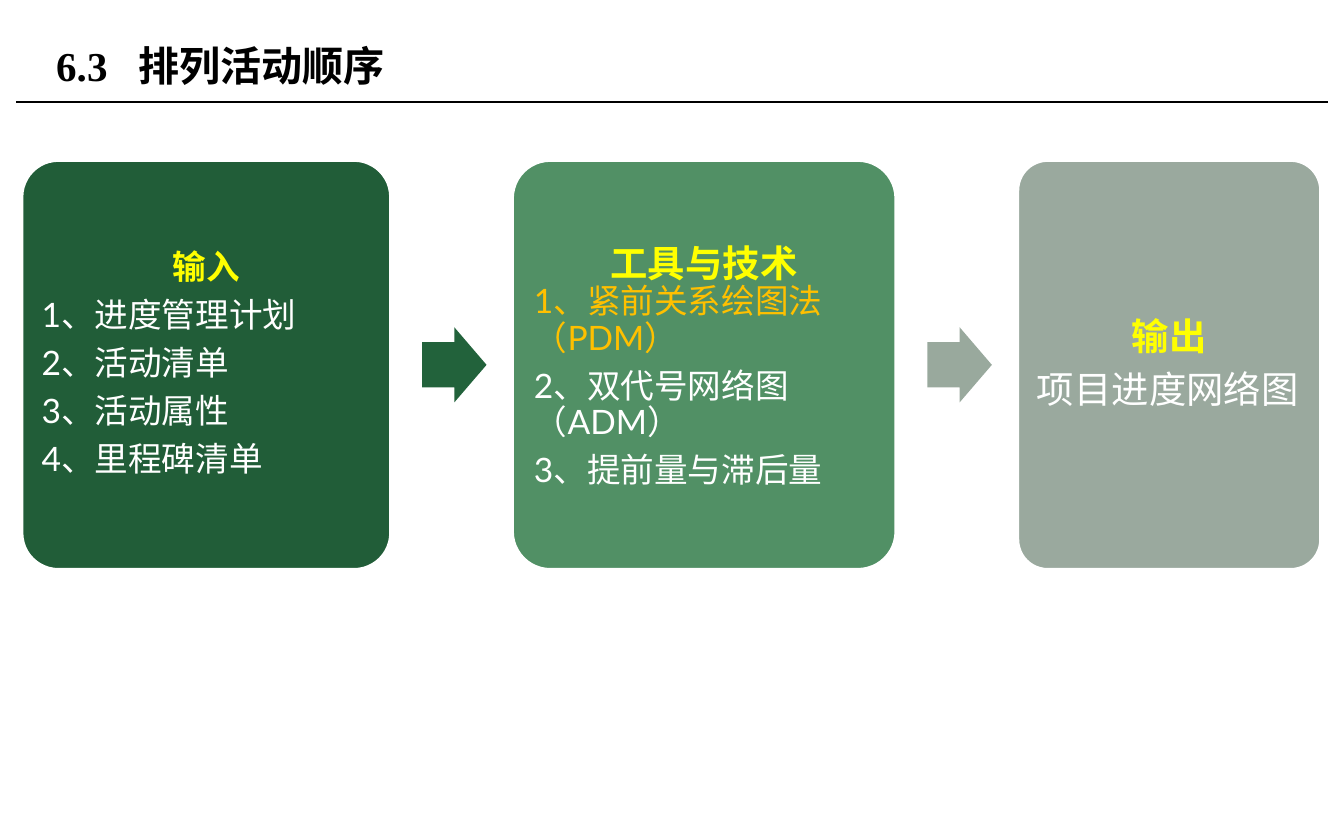
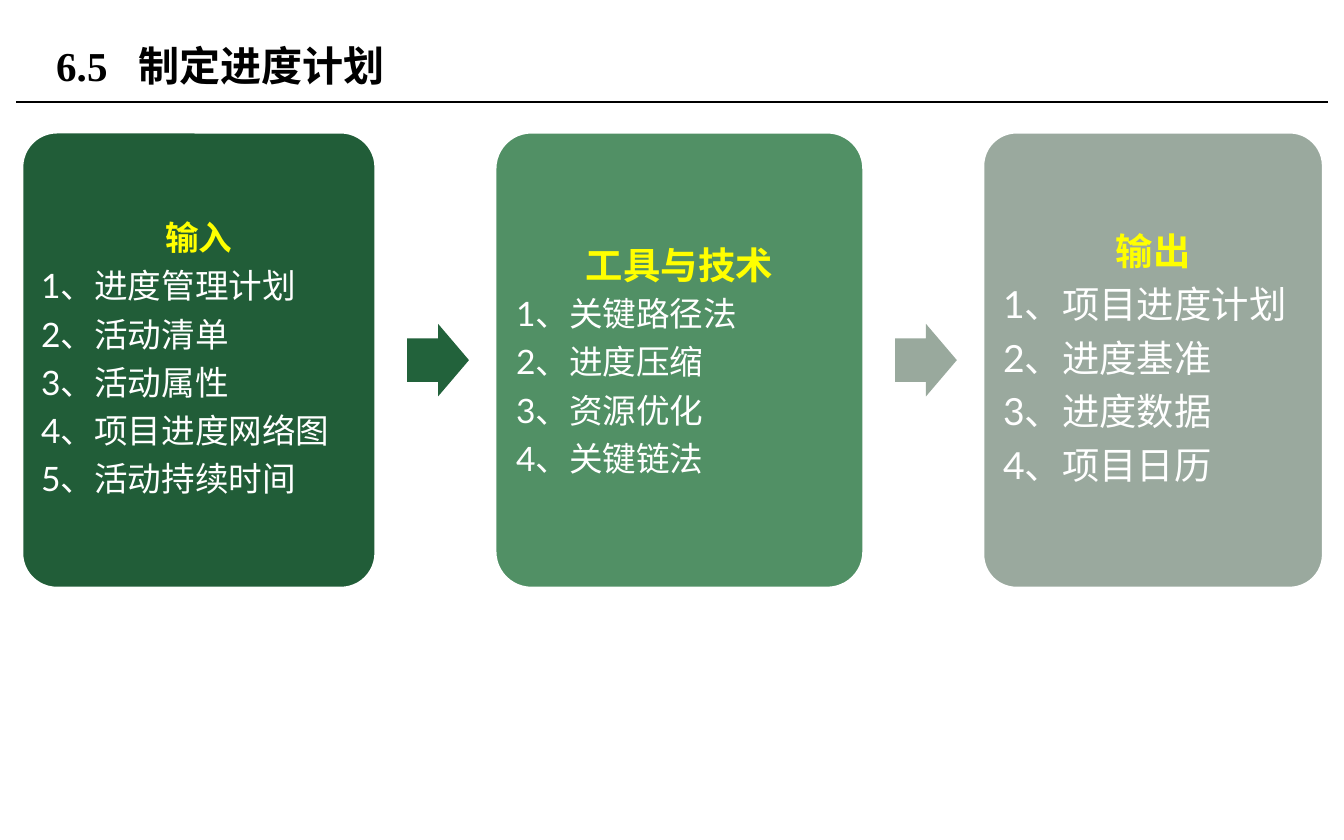
from dataclasses import dataclass

from lxml import etree
from pptx import Presentation
from pptx import util as u
from pptx.dml.color import RGBColor
from pptx.enum import lang, shapes, text
from pptx.oxml import ns

Inches, Pt = u.Inches, u.Pt


@dataclass(frozen=True)
class Theme:
    ink: str = "000000"
    white: str = "FFFFFF"
    heading: str = "FFFF00"
    highlight: str = "FFC000"
    title_font: str = "Times New Roman"
    card_font: str = "Lato"
    title_size: int = 22
    line_spacing: float = 0.9
    space_after: float = 0.35  # share of the type size
    left: float = 0.16
    gap_before_arrow: float = 0.23
    gap_after_arrow: float = 0.19


@dataclass(frozen=True)
class Stage:
    heading: str
    fill: str
    heading_size: int
    item_size: int
    inset: float


@dataclass(frozen=True)
class Process:
    number: str
    name: str
    top: float
    height: float
    widths: tuple
    arrow: tuple
    items: tuple
    tools_heading_after: int
    key_items: tuple = ()


THEME = Theme()
STAGES = (
    Stage("输入", "215D38", 18, 18, 0.07),
    Stage("工具与技术", "519065", 20, 18, 0.08),
    Stage("输出", "9AA99E", 20, 20, 0.08),
)
ARROW_FILLS = ("22623B", "99A99D")

PROCESSES = (
    Process(
        "6.3", "排列活动顺序", 1.19, 3.05, (2.75, 2.86, 2.26), (0.48, 0.56),
        (
            ("1、进度管理计划", "2、活动清单", "3、活动属性", "4、里程碑清单"),
            ("1、紧前关系绘图法（PDM）", "2、双代号网络图（ADM）", "3、提前量与滞后量"),
            ("项目进度网络图",),
        ),
        tools_heading_after=0,
        key_items=("1、紧前关系绘图法（PDM）",),
    ),
    Process(
        "6.5", "制定进度计划", 0.98, 3.4, (2.64, 2.75, 2.54), (0.46, 0.54),
        (
            ("1、进度管理计划", "2、活动清单", "3、活动属性", "4、项目进度网络图",
             "5、活动持续时间"),
            ("1、关键路径法", "2、进度压缩", "3、资源优化", "4、关键链法"),
            ("1、项目进度计划", "2、进度基准", "3、进度数据", "4、项目日历"),
        ),
        tools_heading_after=6,
    ),
)


def rgb(value):
    return RGBColor.from_string(value)


def apply(target, formats):
    for attribute, value in formats.items():
        setattr(target, attribute, value)


def write(paragraph, words, size, font, color, bold=False):
    run = paragraph.add_run()
    run.text = words
    apply(run.font, {"size": Pt(size), "name": font, "bold": bold,
                     "language_id": lang.MSO_LANGUAGE_ID.SIMPLIFIED_CHINESE})
    run.font.color.rgb = rgb(color)


def add_title(slide, number, name):
    """Section number and name, the name set off by a tab stop."""
    title = slide.shapes.add_textbox(Inches(0.32), Inches(0.13), Inches(6.38), Inches(0.71))
    frame = title.text_frame
    apply(frame, {"word_wrap": True, "vertical_anchor": text.MSO_ANCHOR.MIDDLE})
    paragraph = frame.paragraphs[0]
    tabs = etree.SubElement(paragraph._p.get_or_add_pPr(), ns.qn("a:tabLst"))
    etree.SubElement(tabs, ns.qn("a:tab"), pos=str(Inches(0.61)), algn="l")
    write(paragraph, f"{number}\t{name}", THEME.title_size, THEME.title_font, THEME.ink, True)


def add_rule(slide):
    y = Inches(0.76)
    rule = slide.shapes.add_connector(
        shapes.MSO_CONNECTOR.STRAIGHT, Inches(0.12), y, Inches(9.88), y)
    rule.line.width = Pt(0.75)
    rule.line.color.rgb = rgb(THEME.ink)
    etree.SubElement(rule._element.spPr, ns.qn("a:effectLst"))


def add_filled(slide, kind, box, fill, adjustments):
    shape = slide.shapes.add_shape(kind, *map(Inches, box))
    shape.shadow.inherit = False
    shape.fill.solid()
    shape.fill.fore_color.rgb = rgb(fill)
    for index, value in enumerate(adjustments):
        shape.adjustments[index] = value
    return shape


def add_card(slide, box, stage, items, key_items, heading_after=None):
    """A stage card; heading_after replaces the proportional heading spacing."""
    card = add_filled(slide, shapes.MSO_SHAPE.ROUNDED_RECTANGLE, box, stage.fill, (0.1,))
    card.line.width = Pt(2)
    card.line.color.rgb = rgb(THEME.white)
    frame = card.text_frame
    sides = ("left", "top", "right", "bottom")
    apply(frame, {f"margin_{side}": Inches(stage.inset) for side in sides})
    apply(frame, {"word_wrap": True, "vertical_anchor": text.MSO_ANCHOR.MIDDLE})

    heading = frame.paragraphs[0]
    heading.alignment = text.PP_ALIGN.CENTER
    if heading_after is None:
        space_lines(heading, stage.heading_size)
    else:
        heading.space_after = Pt(heading_after)
    write(heading, stage.heading, stage.heading_size, THEME.card_font, THEME.heading, True)

    for item in items:
        paragraph = frame.add_paragraph()
        paragraph.alignment = text.PP_ALIGN.LEFT
        space_lines(paragraph, stage.item_size)
        color = THEME.highlight if item in key_items else THEME.white
        write(paragraph, item, stage.item_size, THEME.card_font, color)


def space_lines(paragraph, size):
    apply(paragraph, {"line_spacing": THEME.line_spacing,
                      "space_after": Pt(size * THEME.space_after)})


def add_arrow(slide, box, fill):
    arrow = add_filled(slide, shapes.MSO_SHAPE.RIGHT_ARROW, box, fill, (0.6, 0.5))
    arrow.line.fill.background()


def add_flow(slide, process):
    """Cards from left to right with an arrow between neighbours."""
    x = THEME.left
    arrow_width, arrow_height = process.arrow
    arrow_top = process.top + (process.height - arrow_height) / 2
    for index, (stage, width, items) in enumerate(zip(STAGES, process.widths, process.items)):
        heading_after = process.tools_heading_after if index == 1 else None
        add_card(slide, (x, process.top, width, process.height), stage, items,
                 process.key_items, heading_after)
        x += width + THEME.gap_before_arrow
        if index < len(ARROW_FILLS):
            add_arrow(slide, (x, arrow_top, arrow_width, arrow_height), ARROW_FILLS[index])
            x += arrow_width + THEME.gap_after_arrow


def main():
    deck = Presentation()
    apply(deck, {"slide_width": Inches(10), "slide_height": Inches(6.25)})
    for process in PROCESSES:
        slide = deck.slides.add_slide(deck.slide_layouts[6])
        add_rule(slide)
        add_title(slide, process.number, process.name)
        add_flow(slide, process)
    deck.save("out.pptx")


if __name__ == "__main__":
    main()
